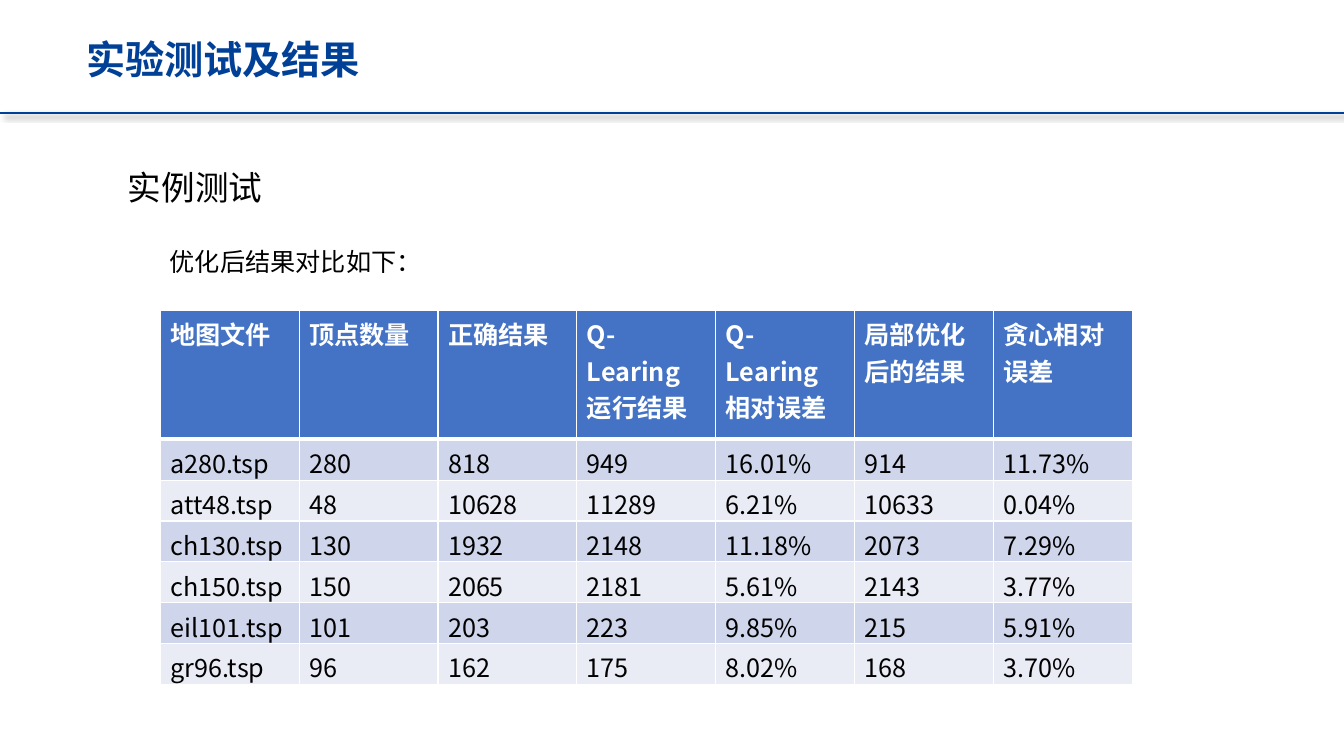
from lxml import etree
from pptx import Presentation
from pptx.dml.color import RGBColor
from pptx.enum import shapes, text
from pptx.oxml import ns, parse_xml
from pptx.util import Pt

THEME = {
    "font": "Noto Sans CJK SC",
    "navy": "004097", "black": "000000", "white": "FFFFFF",
    "header": "4472C4", "bands": ("CFD5EA", "E9EBF5"),
    "title": 28, "section": 24, "body": 18,
}
SLIDE = (960, 540)
RULE_Y = 80.64

# wording, box, size, colour, bold, (side inset, top inset), line spacing
TEXTS = [
    ("实验测试及结果", (61.5, 19, 278.64, 39.6), "title", "navy", True, (0, 2.16), 1.13),
    ("实例测试", (84.24, 115.92, 748.8, 36), "section", "black", False, (7.2, 3.6), None),
    ("优化后结果对比如下：", (114.2, 172.08, 741.6, 28.8), "body", "black", False, (7.2, 3.6), None),
]
RESULTS = [
    ("地图文件", "顶点数量", "正确结果", "Q-Learing运行结果", "Q-Learing相对误差",
     "局部优化后的结果", "贪心相对误差"),
    ("a280.tsp", "280", "818", "949", "16.01%", "914", "11.73%"),
    ("att48.tsp", "48", "10628", "11289", "6.21%", "10633", "0.04%"),
    ("ch130.tsp", "130", "1932", "2148", "11.18%", "2073", "7.29%"),
    ("ch150.tsp", "150", "2065", "2181", "5.61%", "2143", "3.77%"),
    ("eil101.tsp", "101", "203", "223", "9.85%", "215", "5.91%"),
    ("gr96.tsp", "96", "162", "175", "8.02%", "168", "3.70%"),
]
TABLE_LEFT, TABLE_TOP = 114.48, 221.76
COLUMN_WIDTH = 99.2
HEADER_HEIGHT, ROW_HEIGHT = 92, 29.2  # the header holds three lines


def rgb(name):
    return RGBColor.from_string(THEME.get(name, name))


def write(frame, wording, size, color, bold):
    paragraph = frame.paragraphs[0]
    paragraph.text = wording
    font = paragraph.font
    font.name, font.size, font.bold = THEME["font"], Pt(THEME[size]), bold
    font.color.rgb = rgb(color)
    # East Asian glyphs take their typeface from a:ea
    etree.SubElement(font._element, ns.qn("a:ea"), typeface=THEME["font"])
    return paragraph


def add_text(slide, wording, box, size, color, bold, insets, spacing):
    frame = slide.shapes.add_textbox(*map(Pt, box)).text_frame
    frame.word_wrap = True
    frame.auto_size = text.MSO_AUTO_SIZE.SHAPE_TO_FIT_TEXT
    side, top = map(Pt, insets)
    frame.margin_left = frame.margin_right = side
    frame.margin_top = frame.margin_bottom = top
    paragraph = write(frame, wording, size, color, bold)
    if spacing:
        paragraph.line_spacing = spacing


def add_rule(slide):
    rule = slide.shapes.add_connector(
        shapes.MSO_CONNECTOR.STRAIGHT, 0, Pt(RULE_Y), Pt(SLIDE[0]), Pt(RULE_Y))
    rule.line.color.rgb = rgb("navy")
    rule.line.width = Pt(1.5)
    rule._element.spPr.append(parse_xml(
        f'<a:effectLst {ns.nsdecls("a")}><a:outerShdw blurRad="{Pt(4)}" dist="{Pt(3)}" '
        f'dir="{45 * 60000}" algn="tl" rotWithShape="0"><a:srgbClr val="{THEME["black"]}">'
        '<a:alpha val="40000"/></a:srgbClr></a:outerShdw></a:effectLst>'))


def add_borders(cell, bottom):
    """White cell borders, 1 pt wide except for the bottom one."""
    properties = cell._tc.get_or_add_tcPr()
    for index, (side, width) in enumerate(zip("LRTB", (1, 1, 1, bottom))):
        properties.insert(index, parse_xml(
            f'<a:ln{side} {ns.nsdecls("a")} w="{Pt(width)}"><a:solidFill>'
            f'<a:srgbClr val="{THEME["white"]}"/></a:solidFill></a:ln{side}>'))


def add_results(slide):
    rows, columns = len(RESULTS), len(RESULTS[0])
    table = slide.shapes.add_table(
        rows, columns, Pt(TABLE_LEFT), Pt(TABLE_TOP), Pt(columns * COLUMN_WIDTH),
        Pt(HEADER_HEIGHT + (rows - 1) * ROW_HEIGHT)).table
    for column in table.columns:
        column.width = Pt(COLUMN_WIDTH)
    for r, values in enumerate(RESULTS):
        is_header = r == 0
        table.rows[r].height = Pt(HEADER_HEIGHT if is_header else ROW_HEIGHT)
        fill = "header" if is_header else THEME["bands"][(r - 1) % 2]
        for c, value in enumerate(values):
            cell = table.cell(r, c)
            cell.fill.solid()
            cell.fill.fore_color.rgb = rgb(fill)
            add_borders(cell, 3 if is_header else 1)
            write(cell.text_frame, value, "body", "white" if is_header else "black", is_header)


def main():
    deck = Presentation()
    deck.slide_width, deck.slide_height = map(Pt, SLIDE)
    slide = deck.slides.add_slide(deck.slide_layouts[6])
    add_rule(slide)
    for entry in TEXTS:
        add_text(slide, *entry)
    add_results(slide)
    deck.save("out.pptx")


if __name__ == "__main__":
    main()
